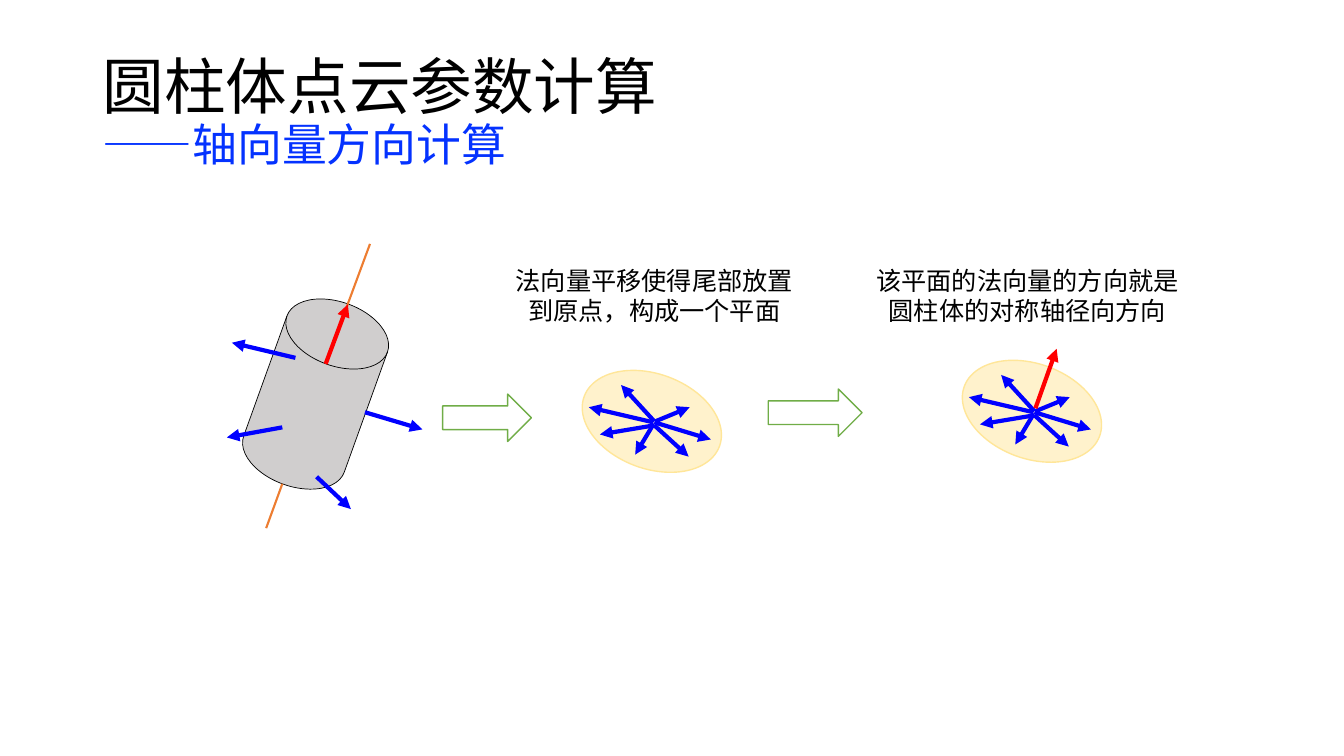
from lxml import etree
from pptx import Presentation
from pptx.dml.color import RGBColor
from pptx.enum.shapes import MSO_CONNECTOR, MSO_SHAPE
from pptx.enum.text import MSO_ANCHOR, PP_ALIGN
from pptx.oxml.ns import qn
from pptx.util import Inches, Pt

STRAIGHT = MSO_CONNECTOR.STRAIGHT
OVAL = MSO_SHAPE.OVAL
ARROW = MSO_SHAPE.RIGHT_ARROW
DISK = MSO_SHAPE.FLOWCHART_MAGNETIC_DISK
MIDDLE = MSO_ANCHOR.MIDDLE
CENTER = PP_ALIGN.CENTER

FONT = "Noto Sans CJK SC"
BLACK, BLUE, RED, ORANGE, GREEN = "000000", "0000FF", "FF0000", "ED7D31", "70AD47"

# Start and end of each normal, measured from the plane's left top corner
RAYS = [
    (0.74, 0.48, 1.3, 0.65),
    (0.74, 0.51, 1.08, 0.82),
    (0.73, 0.48, 0.09, 0.33),
    (0.74, 0.51, 0.2, 0.6),
    (0.74, 0.47, 0.41, 0.11),
    (0.75, 0.47, 1.09, 0.33),
    (0.73, 0.5, 0.55, 0.8),
]
NORMALS = [
    (3.62, 4.09, 4.19, 4.26),
    (3.14, 4.73, 3.48, 5.05),
    (2.93, 3.55, 2.3, 3.4),
    (2.8, 4.24, 2.25, 4.34),
]
AXIS = [(3.23, 3.61, 3.67, 2.42), (2.64, 5.24, 2.8, 4.8)]


def color(text):
    return RGBColor.from_string(text)


def add_shape(shapes, kind, box, fill, line, width=1, turn=0):
    shape = shapes.add_shape(kind, *map(Inches, box))
    shape.rotation = turn
    shape.shadow.inherit = False
    shape.fill.solid()
    shape.fill.fore_color.rgb = color(fill)
    shape.line.color.rgb = color(line)
    shape.line.width = Pt(width)


def add_line(shapes, ends, tint, width=1.5):
    link = shapes.add_connector(STRAIGHT, *map(Inches, ends))
    link.line.color.rgb = color(tint)
    link.line.width = Pt(width)
    etree.SubElement(link._element.spPr, qn("a:effectLst"))
    return link


def add_vector(shapes, ends, tint=BLUE):
    link = add_line(shapes, ends, tint, 3)
    etree.SubElement(link.line._get_or_add_ln(), qn("a:tailEnd"), type="triangle")


def add_box(shapes, box):
    """Add a wrapping text box and return its frame and first paragraph."""
    frame = shapes.add_textbox(*map(Inches, box)).text_frame
    frame.word_wrap = True
    return frame, frame.paragraphs[0]


def set_font(para):
    """Set the font for both Latin and East Asian text."""
    para.font.name = FONT
    etree.SubElement(para.font._element, qn("a:ea"), typeface=FONT)


def add_title(shapes):
    frame, para = add_box(shapes, (0.92, 0.4, 11.5, 1.45))
    frame.vertical_anchor = MIDDLE
    para.line_spacing = 0.9
    set_font(para)
    head = para.add_run()
    head.text = "圆柱体点云参数计算"
    para.add_line_break()
    sub = para.add_run()
    sub.text = "——轴向量方向计算"
    for run, size, tint in ((head, 44, BLACK), (sub, 32, "0432FF")):
        run.font.size = Pt(size)
        run.font.color.rgb = color(tint)


def add_label(shapes, box, text):
    para = add_box(shapes, box)[1]
    para.text = text
    para.alignment = CENTER
    para.font.size = Pt(18)
    para.font.color.rgb = color(BLACK)
    set_font(para)


def add_plane(shapes, left, top):
    """Add a tilted plane with the normals moved to one origin."""
    group = shapes.add_group_shape().shapes
    add_shape(group, OVAL, (left, top, 1.43, 0.94), "FFF2CC", "FFE699", turn=20.2)
    for x1, y1, x2, y2 in RAYS:
        add_vector(group, (left + x1, top + y1, left + x2, top + y2))


def add_cylinder(shapes):
    group = shapes.add_group_shape().shapes
    add_shape(group, DISK, (2.6, 2.96, 1.06, 1.9), "D0CECE", BLACK, 0.5, 19.8)
    for ends in AXIS:
        add_line(group, ends, ORANGE)
    for ends in NORMALS:
        add_vector(group, ends)
    add_vector(group, (3.23, 3.61, 3.45, 3.02), RED)


def main():
    deck = Presentation()
    deck.slide_width, deck.slide_height = Inches(13.33), Inches(7.5)
    shapes = deck.slides.add_slide(deck.slide_layouts[6]).shapes
    add_title(shapes)
    add_plane(shapes, 5.75, 3.71)
    add_shape(shapes, ARROW, (4.39, 3.91, 0.88, 0.47), "FFFFFF", GREEN)
    add_label(shapes, (4.98, 2.58, 3.02, 0.71), "法向量平移使得尾部放置到原点，构成一个平面")
    add_label(shapes, (8.55, 2.58, 3.28, 0.71), "该平面的法向量的方向就是圆柱体的对称轴径向方向")
    add_plane(shapes, 9.52, 3.61)
    add_cylinder(shapes)
    add_vector(shapes, (10.27, 4.05, 10.48, 3.46), RED)
    add_shape(shapes, ARROW, (7.62, 3.86, 0.93, 0.47), "FFFFFF", GREEN)
    deck.save("out.pptx")


if __name__ == "__main__":
    main()
